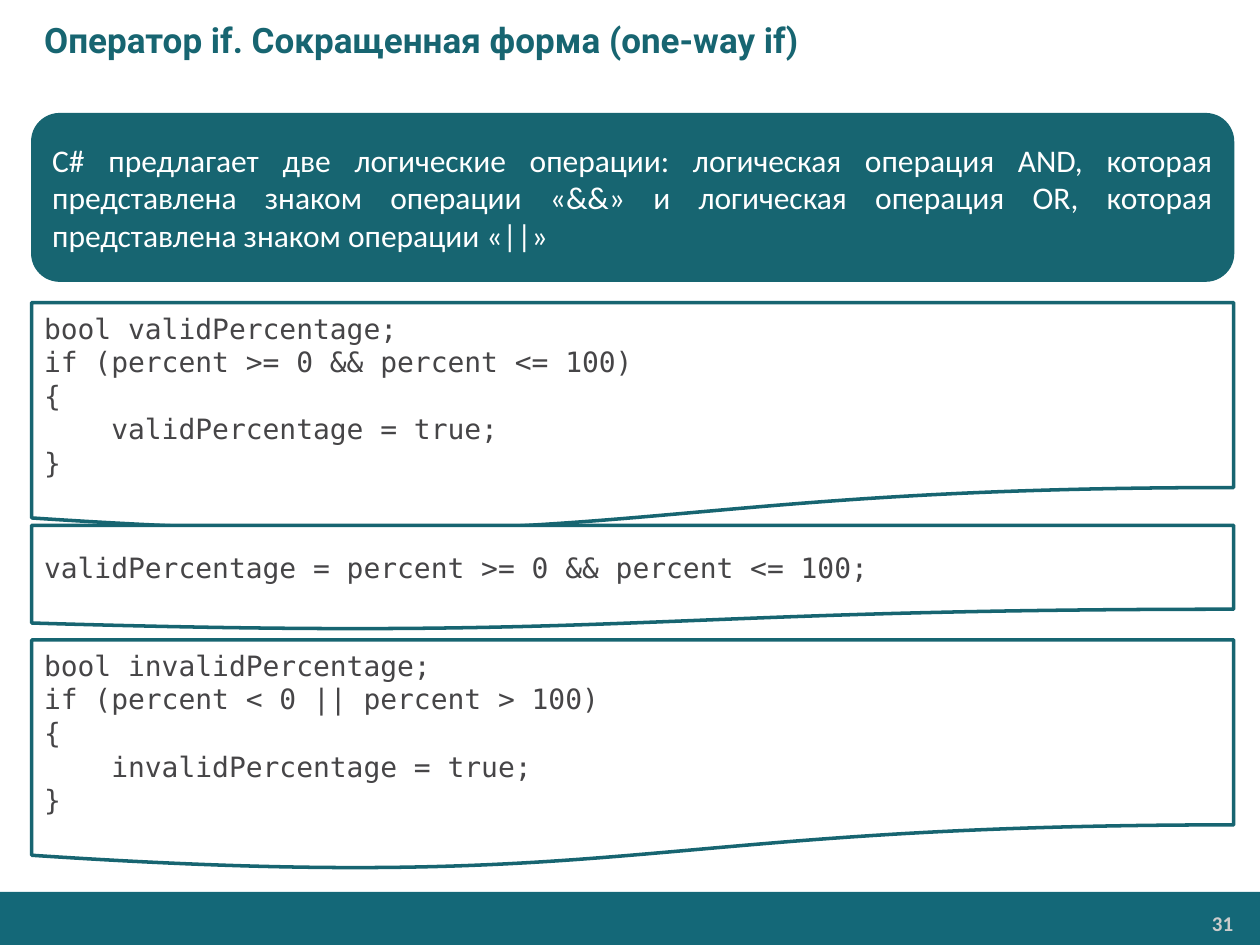
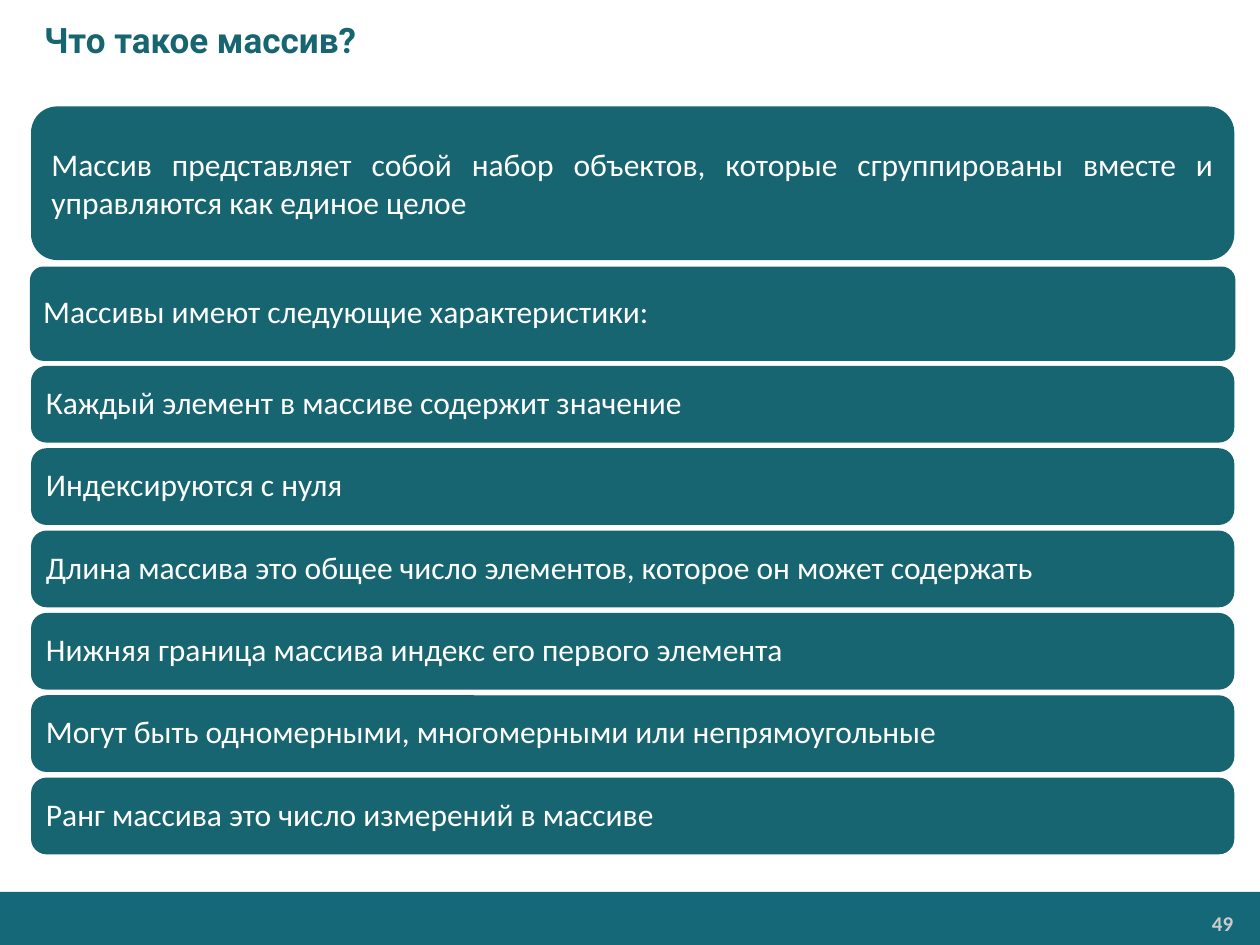
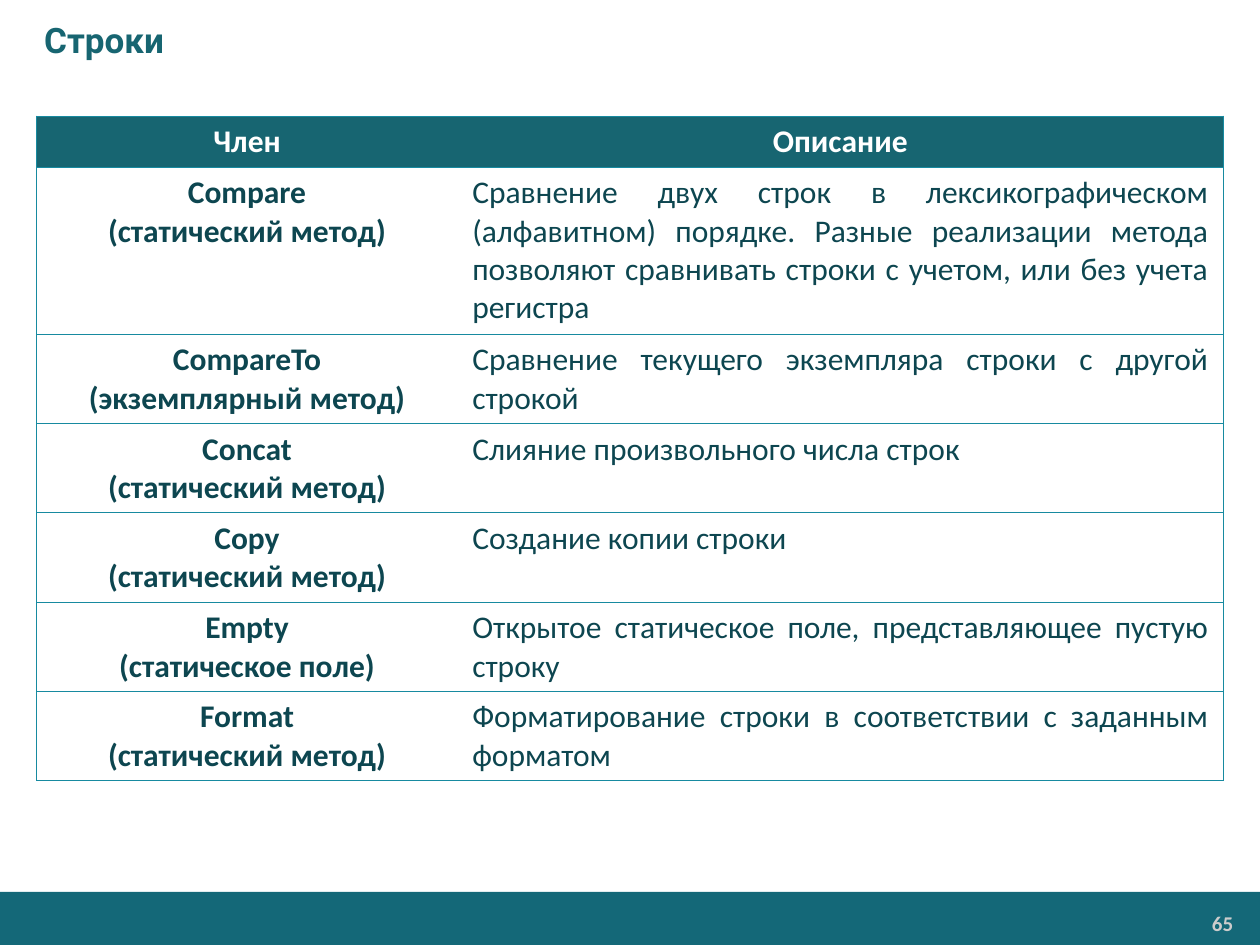
from typing import NamedTuple

from pptx import Presentation
from pptx.dml.color import RGBColor
from pptx.enum.shapes import MSO_SHAPE as Preset
from pptx.enum.text import MSO_ANCHOR as Anchor, PP_ALIGN as Align
from pptx.oxml.ns import qn
from pptx.util import Cm, Pt
from lxml.etree import SubElement

TEAL = "176571"
BAND = "146878"
WHITE = "FFFFFF"
NUMBER_GREY = "CCCCCC"
CODE_GREY = "464547"
GRID_TEAL = "178AA0"
TABLE_TEXT = "0D4650"

BODY_FONT = "Calibri"
TITLE_FONT = "Roboto"
CODE_FONT = "DejaVu Sans Mono"


class Box(NamedTuple):
    """A region in centimetres."""
    left: float
    top: float
    width: float
    height: float

    def row(self, top, height):
        """A full-width strip whose top is counted from the top of this box."""
        return Box(self.left, self.top + top, self.width, height)

    def lengths(self):
        return [Cm(value) for value in self]


class TextStyle(NamedTuple):
    font: str
    size: int
    color: str
    bold: bool = False
    align: Align = Align.LEFT
    line_spacing: float = None


TITLE_STYLE = TextStyle(TITLE_FONT, 20, TEAL, bold=True)
NUMBER_STYLE = TextStyle(BODY_FONT, 12, NUMBER_GREY, bold=True, align=Align.RIGHT)
STATEMENT_STYLE = TextStyle(BODY_FONT, 18, WHITE, align=Align.JUSTIFY)
ITEM_STYLE = TextStyle(BODY_FONT, 18, WHITE, line_spacing=0.9)
CODE_STYLE = TextStyle(CODE_FONT, 16, CODE_GREY)
HEADER_STYLE = TextStyle(BODY_FONT, 18, WHITE, bold=True, align=Align.CENTER)
MEMBER_STYLE = HEADER_STYLE._replace(color=TABLE_TEXT)
DESCRIPTION_STYLE = TextStyle(BODY_FONT, 18, TABLE_TEXT, align=Align.JUSTIFY)

SLIDE = Box(0, 0, 25.4, 19.05)
CONTENT = Box(0.64, 2.16, 24.23, 15.4)
TABLE = Box(0.74, 2.34, 23.92, 13.4)

PERCENT_VALID = """bool validPercentage;
if (percent >= 0 && percent <= 100)
{
    validPercentage = true;
}"""
PERCENT_SHORT = "validPercentage = percent >= 0 && percent <= 100;"
PERCENT_INVALID = """bool invalidPercentage;
if (percent < 0 || percent > 100)
{
    invalidPercentage = true;
}"""

ARRAY_TRAITS = [
    "Каждый элемент в массиве содержит значение",
    "Индексируются с нуля",
    "Длина массива это общее число элементов, которое он может содержать",
    "Нижняя граница массива индекс его первого элемента",
    "Могут быть одномерными, многомерными или непрямоугольные",
    "Ранг массива это число измерений в массиве",
]

STRING_MEMBERS = [
    ("Compare\n(статический метод)",
     "Сравнение двух строк в лексикографическом (алфавитном) порядке. Разные "
     "реализации метода позволяют сравнивать строки с учетом, или без учета регистра"),
    ("CompareTo\n(экземплярный метод)",
     "Сравнение текущего экземпляра строки с другой строкой"),
    ("Concat\n(статический метод)", "Слияние произвольного числа строк"),
    ("Copy\n(статический метод)", "Создание копии строки"),
    ("Empty\n(статическое поле)",
     "Открытое статическое поле, представляющее пустую строку"),
    ("Format\n(статический метод)",
     "Форматирование строки в соответствии с заданным форматом"),
]


def rgb(color):
    return RGBColor.from_string(color)


def write(text_frame, text, style):
    """Write each line of the text as a paragraph with one run."""
    text_frame.word_wrap = True
    for index, line in enumerate(text.split("\n")):
        paragraph = text_frame.add_paragraph() if index else text_frame.paragraphs[0]
        paragraph.alignment = style.align
        if style.line_spacing:
            paragraph.line_spacing = style.line_spacing
        run = paragraph.add_run()
        run.text = line
        run.font.name = style.font
        run.font.size = Pt(style.size)
        run.font.bold = style.bold
        run.font.color.rgb = rgb(style.color)


def add_text(slide, box, text, style, anchor=Anchor.TOP):
    text_frame = slide.shapes.add_textbox(*box.lengths()).text_frame
    text_frame.vertical_anchor = anchor
    write(text_frame, text, style)
    return text_frame


def add_panel(slide, preset, box, fill, line=TEAL, line_width=0.75):
    shape = slide.shapes.add_shape(preset, *box.lengths())
    shape.shadow.inherit = False
    shape.fill.solid()
    shape.fill.fore_color.rgb = rgb(fill)
    shape.line.color.rgb = rgb(line)
    shape.line.width = Pt(line_width)
    shape.text_frame.vertical_anchor = Anchor.MIDDLE
    return shape


def add_statement(slide, box, text):
    shape = add_panel(slide, Preset.ROUNDED_RECTANGLE, box, TEAL)
    write(shape.text_frame, text, STATEMENT_STYLE)


def add_item(slide, box, text, radius, margin, line_width=0.75):
    shape = add_panel(slide, Preset.ROUNDED_RECTANGLE, box, TEAL, line_width=line_width)
    shape.adjustments[0] = radius / box.height
    shape.text_frame.margin_left = shape.text_frame.margin_right = Cm(margin)
    write(shape.text_frame, text, ITEM_STYLE)


def add_code(slide, box, code):
    shape = add_panel(slide, Preset.FLOWCHART_DOCUMENT, box, WHITE, line_width=2)
    write(shape.text_frame, code, CODE_STYLE)


def add_footer(slide, box, number):
    band = add_panel(slide, Preset.RECTANGLE, box, BAND)
    band.line.fill.background()
    number_box = Box(box.left + box.width - 4.5, box.top + 0.28, 4.14, 0.71)
    text_frame = add_text(slide, number_box, str(number), NUMBER_STYLE)
    text_frame.margin_left = text_frame.margin_right = Cm(0.18)
    text_frame.margin_top = text_frame.margin_bottom = Cm(0.1)


def add_base_slide(presentation, title, number):
    """Add a slide with the shared title and footer band."""
    slide = presentation.slides.add_slide(presentation.slide_layouts[6])
    add_footer(slide, SLIDE.row(17.98, 1.07), number)
    text_frame = add_text(slide, SLIDE.row(0, 1.6), title, TITLE_STYLE, Anchor.MIDDLE)
    text_frame.margin_left = Cm(0.89)
    return slide


def set_borders(cell, visible_sides):
    """Draw the named sides (L, R, T, B) of a cell and clear the others."""
    properties = cell._tc.get_or_add_tcPr()
    for side in "LRTB":
        line = SubElement(properties, qn(f"a:ln{side}"), w=str(Pt(0.75)))
        if side in visible_sides:
            fill = SubElement(line, qn("a:solidFill"))
            SubElement(fill, qn("a:srgbClr"), val=GRID_TEAL)
        else:
            SubElement(line, qn("a:noFill"))


def fill_cell(cell, text, style, outer_side, fill=None):
    cell.margin_left = cell.margin_right = Cm(0.3)
    cell.margin_top = cell.margin_bottom = Cm(0.13)
    set_borders(cell, "TB" + outer_side)
    if fill:
        cell.fill.solid()
        cell.fill.fore_color.rgb = rgb(fill)
    else:
        cell.fill.background()
    write(cell.text_frame, text, style)


def add_member_table(slide, box, header, members):
    frame = slide.shapes.add_table(len(members) + 1, 2, *box.lengths())
    table = frame.table
    table.horz_banding = False
    member_width = 8.48
    for column, width in zip(table.columns, (member_width, box.width - member_width)):
        column.width = Cm(width)
    heights = [1.03, 3.37] + [1.8] * (len(members) - 1)
    for row, height in zip(table.rows, heights):
        row.height = Cm(height)

    for column, (text, side) in enumerate(zip(header, "LR")):
        fill_cell(table.cell(0, column), text, HEADER_STYLE, side, TEAL)
    for row, (member, description) in enumerate(members, start=1):
        fill_cell(table.cell(row, 0), member, MEMBER_STYLE, "L")
        fill_cell(table.cell(row, 1), description, DESCRIPTION_STYLE, "R")


def add_if_slide(presentation, box):
    slide = add_base_slide(presentation, "Оператор if. Сокращенная форма (one-way if)", 31)
    add_statement(
        slide, box.row(0.13, 3.38),
        "С# предлагает две логические операции: логическая операция AND, которая "
        "представлена знаком операции «&&» и логическая операция OR, которая "
        "представлена знаком операции «||»")
    add_code(slide, box.row(3.94, 4.65), PERCENT_VALID)
    add_code(slide, box.row(10.74, 4.65), PERCENT_INVALID)
    add_code(slide, box.row(8.43, 2.11), PERCENT_SHORT)


def add_array_slide(presentation, box):
    slide = add_base_slide(presentation, "Что такое массив?", 49)
    add_statement(
        slide, box.row(0, 3.07),
        "Массив представляет собой набор объектов, которые сгруппированы вместе "
        "и управляются как единое целое")
    add_item(slide, box.row(3.25, 1.83), "Массивы имеют следующие характеристики:",
             radius=0.24, margin=0.16, line_width=2)
    first_top, step = 5.23, 1.66
    for index, trait in enumerate(ARRAY_TRAITS):
        add_item(slide, box.row(first_top + index * step, 1.52), trait,
                 radius=0.3, margin=0.2)


def add_strings_slide(presentation, box):
    slide = add_base_slide(presentation, "Строки", 65)
    add_member_table(slide, box, ("Член", "Описание"), STRING_MEMBERS)


def main():
    presentation = Presentation()
    presentation.slide_width = Cm(SLIDE.width)
    presentation.slide_height = Cm(SLIDE.height)
    add_if_slide(presentation, CONTENT)
    add_array_slide(presentation, CONTENT)
    add_strings_slide(presentation, TABLE)
    presentation.save("out.pptx")


if __name__ == "__main__":
    main()
